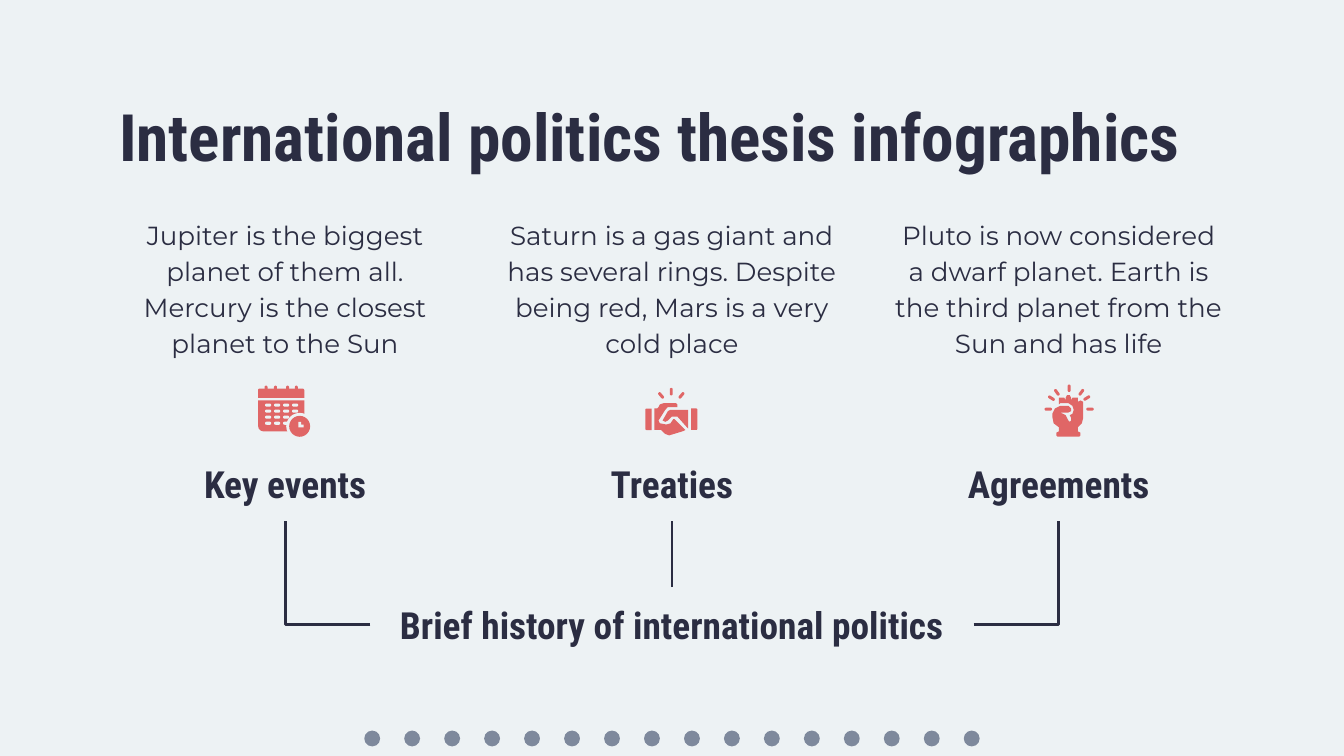
from dataclasses import dataclass
from itertools import product
from math import cos, radians, sin
from typing import NamedTuple

from lxml.etree import SubElement
from pptx import Presentation
from pptx.dml.color import RGBColor
from pptx.enum.shapes import MSO_CONNECTOR as Connector, MSO_SHAPE as Preset
from pptx.enum.text import MSO_ANCHOR as Anchor, PP_ALIGN as Align
from pptx.oxml.ns import qn
from pptx.util import Cm, Pt


@dataclass(frozen=True)
class Theme:
    background: RGBColor = RGBColor(0xED, 0xF2, 0xF4)
    ink: RGBColor = RGBColor(0x2B, 0x2D, 0x42)
    dot: RGBColor = RGBColor(0x7E, 0x89, 0x9C)
    accent: RGBColor = RGBColor(0xE0, 0x66, 0x66)
    heading_font: str = "Roboto Condensed"
    body_font: str = "Montserrat"
    title_size: Pt = Pt(35)
    label_size: Pt = Pt(20)
    body_size: Pt = Pt(14)
    line_width: Pt = Pt(1.5)


THEME = Theme()
TITLE = {"name": THEME.heading_font, "size": THEME.title_size, "bold": True}
LABEL = {"name": THEME.heading_font, "size": THEME.label_size, "bold": True}
BODY = {"name": THEME.body_font, "size": THEME.body_size, "bold": False}


class Piece(NamedTuple):
    preset: Preset
    center_x: float
    center_y: float
    width: float
    height: float
    color: RGBColor = THEME.accent
    angle: float = 0


class Outline(NamedTuple):
    points: tuple
    color: RGBColor = THEME.accent


@dataclass(frozen=True)
class Icon:
    pieces: list[Piece]
    outlines: list[Outline]


@dataclass(frozen=True)
class Topic:
    label: str
    body: str
    icon: Icon


ICON_UNIT = Cm(0.0254)
CENTER, PITCH, COLUMN_WIDTH = 12.7, 7.31, 6.73
BODY_TOP, BODY_HEIGHT = 3.81, 3.33
LABEL_TOP, HUB_TOP, LABEL_HEIGHT = 8.43, 11.1, 1.42
HUB_WIDTH = 11.4
DOT_COUNT, DOT_SIZE, DOT_SPAN, DOT_TOP = 16, 0.3, 11.33, 13.81


def ray_fan(center_x: float, center_y: float, radius: float, angles: tuple) -> list[Piece]:
    return [Piece(Preset.ROUNDED_RECTANGLE,
                  center_x + radius * sin(radians(angle)),
                  center_y - radius * cos(radians(angle)),
                  2.2, 5.6, angle=angle) for angle in angles]


CALENDAR = Icon(
    [Piece(Preset.ROUND_2_SAME_RECTANGLE, 209.2, 292.6, 34.4, 6.8),
     Piece(Preset.ROUND_2_SAME_RECTANGLE, 209.2, 309.5, 34.4, 23, angle=180)]
    + [Piece(Preset.ROUNDED_RECTANGLE, x, 289.2, 2.2, 4.4) for x in (198, 205, 214, 220.5)]
    + [Piece(Preset.ROUNDED_RECTANGLE, 199.5 + 6.7 * column, 301.5 + 4.5 * row,
             4.6, 2.3, THEME.background) for row, column in product(range(4), repeat=2)]
    + [Piece(Preset.OVAL, 223, 317.3, 20, 20, THEME.background),
       Piece(Preset.OVAL, 223, 317.3, 15.6, 15.6)],
    [Outline(((222, 314), (224, 314), (224, 316), (226, 316), (226, 318), (222, 318)),
             THEME.background)])

HANDSHAKE = Icon(
    ray_fan(499.5, 303.3, 11.8, (-40, 0, 40))
    + [Piece(Preset.ROUND_2_SAME_RECTANGLE, 516.5, 312, 16, 4.6, angle=90),
       Piece(Preset.ROUND_2_SAME_RECTANGLE, 482.5, 312, 16, 4.6, angle=270)],
    [Outline(((499, 305), (497, 306), (493, 313), (495, 314), (497, 313.4), (499, 311),
              (500, 310), (502, 309.5), (504, 310), (512, 319), (512, 305))),
     Outline(((494, 300), (491, 301), (490, 303), (489, 304), (487, 304), (487, 320),
              (492, 320), (495, 323), (498, 324), (508, 321), (510, 320), (502, 312),
              (501, 312), (499, 315), (496, 316), (491, 315), (490.5, 313), (495, 305),
              (497, 303.3), (499, 303), (504, 303), (504, 301), (503, 300)))])

FIST = Icon(
    ray_fan(795.5, 304.5, 15.5, (-90, -58, -36, 0, 36, 58, 90)),
    [Outline(((795, 294), (793.5, 294.5), (793, 296), (793, 298), (792, 296.5),
              (790, 296), (788.5, 296.5), (788, 298), (788, 301), (789, 300), (795, 300),
              (798, 301.5), (799, 305), (798.5, 307.5), (796, 309), (797, 311),
              (797, 313), (796, 314), (795, 313), (793, 309), (789, 307), (795, 307),
              (797, 306), (797, 304), (795, 302), (789, 302), (785, 304), (783, 308),
              (783, 310), (784.5, 315), (788, 318), (788, 321), (786.5, 321.5),
              (786, 323), (786, 324.5), (787, 325), (803, 325), (804, 324), (804, 323),
              (803.5, 321.5), (802, 321), (802, 318), (805, 315), (806, 311), (806, 301),
              (805.5, 299), (804, 298), (802.5, 299), (802, 301), (802, 298),
              (801.5, 296.5), (799.5, 296), (797.5, 296.5), (797, 298), (797, 296),
              (796.5, 294.5)))])

TOPICS = [
    Topic("Key events", "Jupiter is the biggest planet of them all. "
          "Mercury is the closest planet to the Sun", CALENDAR),
    Topic("Treaties", "Saturn is a gas giant and has several rings. "
          "Despite being red, Mars is a very cold place", HANDSHAKE),
    Topic("Agreements", "Pluto is now considered a dwarf planet. "
          "Earth is the third planet from the Sun and has life", FIST),
]


def paint(shape, color: RGBColor) -> None:
    shape.shadow.inherit = False
    shape.fill.solid()
    shape.fill.fore_color.rgb = color
    shape.line.fill.background()


def write(shape, text: str, font: dict, align: Align, anchor: Anchor,
          spacing: float = 1.0) -> None:
    frame = shape.text_frame
    margin = Cm(0.25)
    frame_format = {"word_wrap": True, "vertical_anchor": anchor,
                    "margin_left": margin, "margin_right": margin,
                    "margin_top": margin, "margin_bottom": margin}
    for name, value in frame_format.items():
        setattr(frame, name, value)
    paragraph = frame.paragraphs[0]
    paragraph.alignment = align
    paragraph.line_spacing = spacing
    run = paragraph.add_run()
    run.text = text
    for name, value in font.items():
        setattr(run.font, name, value)
    run.font.color.rgb = THEME.ink


def add_label(slide, text: str, center: float, top: float, width: float):
    shape = slide.shapes.add_shape(Preset.RECTANGLE, Cm(center - width / 2), Cm(top),
                                   Cm(width), Cm(LABEL_HEIGHT))
    shape.shadow.inherit = False
    shape.fill.background()
    shape.line.fill.background()
    write(shape, text, LABEL, Align.CENTER, Anchor.MIDDLE)
    return shape


def add_icon(slide, icon: Icon) -> None:
    group = slide.shapes.add_group_shape()
    for piece in icon.pieces:
        box = (piece.center_x - piece.width / 2, piece.center_y - piece.height / 2,
               piece.width, piece.height)
        shape = group.shapes.add_shape(piece.preset, *(int(ICON_UNIT * side) for side in box))
        if piece.preset == Preset.ROUNDED_RECTANGLE:
            shape.adjustments[0] = 0.5
        shape.rotation = piece.angle
        paint(shape, piece.color)
    for outline in icon.outlines:
        builder = group.shapes.build_freeform(*outline.points[0], scale=ICON_UNIT)
        builder.add_line_segments(outline.points[1:], close=True)
        paint(builder.convert_to_shape(), outline.color)


def link(slide, hub, hub_side: int, label) -> None:
    kind = Connector.STRAIGHT if hub_side == 0 else Connector.ELBOW
    connector = slide.shapes.add_connector(kind, 0, 0, 0, 0)
    connector.begin_connect(hub, hub_side)
    connector.end_connect(label, 2)
    connector.line.color.rgb = THEME.ink
    connector.line.width = THEME.line_width
    properties = connector.element.spPr
    if kind == Connector.ELBOW:
        properties.find(qn("a:prstGeom")).set("prst", "bentConnector2")
    SubElement(properties, qn("a:effectLst"))


def main() -> None:
    presentation = Presentation()
    presentation.slide_width, presentation.slide_height = Cm(25.4), Cm(14.29)
    slide = presentation.slides.add_slide(presentation.slide_layouts[6])
    slide.background.fill.solid()
    slide.background.fill.fore_color.rgb = THEME.background

    first_dot = CENTER - (DOT_SPAN + DOT_SIZE) / 2
    for index in range(DOT_COUNT):
        left = first_dot + index * DOT_SPAN / (DOT_COUNT - 1)
        paint(slide.shapes.add_shape(Preset.OVAL, Cm(left), Cm(DOT_TOP),
                                     Cm(DOT_SIZE), Cm(DOT_SIZE)), THEME.dot)

    title = slide.shapes.add_textbox(Cm(2), Cm(1.57), Cm(21.4), Cm(1.57))
    write(title, "International politics thesis infographics", TITLE, Align.LEFT, Anchor.TOP)
    hub = add_label(slide, "Brief history of international politics",
                    CENTER, HUB_TOP, HUB_WIDTH)

    for index, (topic, hub_side) in enumerate(zip(TOPICS, (1, 0, 3))):
        center = CENTER + (index - 1) * PITCH
        body = slide.shapes.add_textbox(Cm(center - COLUMN_WIDTH / 2), Cm(BODY_TOP),
                                        Cm(COLUMN_WIDTH), Cm(BODY_HEIGHT))
        write(body, topic.body, BODY, Align.CENTER, Anchor.TOP, 1.15)
        label = add_label(slide, topic.label, center, LABEL_TOP, COLUMN_WIDTH)
        link(slide, hub, hub_side, label)
        add_icon(slide, topic.icon)

    presentation.save("out.pptx")


if __name__ == "__main__":
    main()
